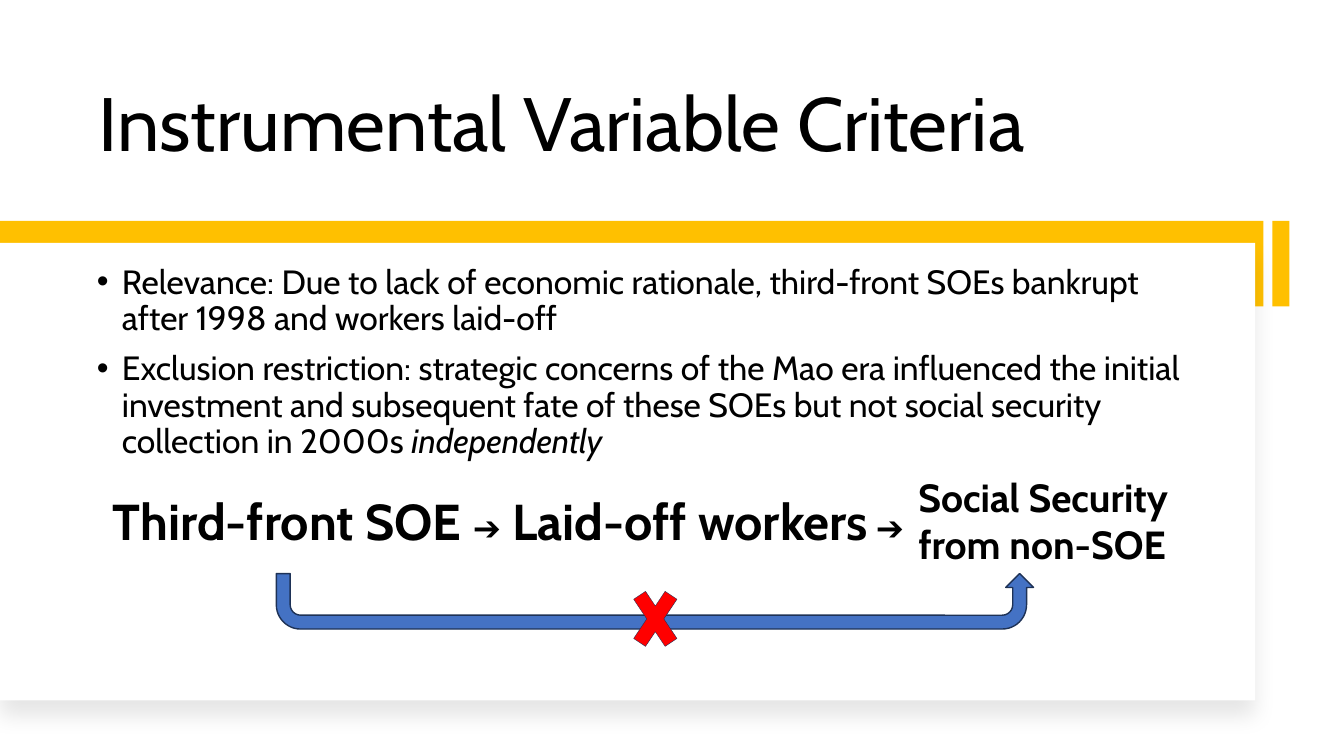
import pptx
import pptx.dml.color
import pptx.enum.shapes
import pptx.enum.text
import pptx.oxml
import pptx.oxml.ns
import pptx.util
import lxml.etree

Inches = pptx.util.Inches
Pt = pptx.util.Pt
SHAPES = pptx.enum.shapes.MSO_SHAPE
ANCHOR = pptx.enum.text.MSO_ANCHOR
AUTO_SIZE = pptx.enum.text.MSO_AUTO_SIZE
qn = pptx.oxml.ns.qn

FONT = "Cabin"
COLORS = {
    "text": "000000",
    "band": "FFC000",
    "card": "FFFFFF",
    "path": "4472C4",
    "outline": "1E3256",
    "cross": "FF0000",
}


def rgb(name):
    return pptx.dml.color.RGBColor.from_string(COLORS[name])


def place(item, box):
    item.left, item.top, item.width, item.height = map(Inches, box)


def add_figure(slide, kind, box, fill, line_width=0):
    figure = slide.shapes.add_shape(kind, *map(Inches, box))
    figure.shadow.inherit = False
    figure.fill.solid()
    figure.fill.fore_color.rgb = rgb(fill)
    if line_width:
        figure.line.color.rgb = rgb("outline")
        figure.line.width = Pt(line_width)
    else:
        figure.line.fill.background()
    return figure


def fill_paragraph(paragraph, pieces, bold=False):
    """Write (text, size, italic) pieces as runs of one paragraph."""
    for text, size, italic in pieces:
        run = paragraph.add_run()
        run.text = text
        run.font.name = FONT
        run.font.size = Pt(size)
        run.font.bold = bold
        run.font.italic = italic
        run.font.color.rgb = rgb("text")


def set_frame(frame, anchor):
    frame.word_wrap = True
    frame.auto_size = AUTO_SIZE.NONE
    frame.vertical_anchor = anchor


def add_title(slide, box):
    title = slide.shapes.title
    place(title, box)
    set_frame(title.text_frame, ANCHOR.BOTTOM)
    heading = title.text_frame.paragraphs[0]
    heading.alignment = pptx.enum.text.PP_ALIGN.LEFT
    heading.line_spacing = 0.9
    fill_paragraph(heading, [("Instrumental Variable Criteria", 54, False)])


def add_card(slide, box):
    """White card with a soft shadow, under a yellow band and tab."""
    left, top, width, height = box
    band_top, band_height = top - 0.22, 0.85
    tab_width = 0.17
    tab_left = left + width + 0.17
    add_figure(slide, SHAPES.RECTANGLE,
               (tab_left, band_top, tab_width, band_height), "band")
    add_figure(slide, SHAPES.RECTANGLE,
               (left, band_top, width + 0.08, band_height), "band")
    card = add_figure(slide, SHAPES.RECTANGLE, box, "card")

    effects = card._element.spPr.find(qn("a:effectLst"))
    shadow = lxml.etree.SubElement(
        effects, qn("a:outerShdw"), blurRad=str(Pt(15)), dist=str(Pt(11)),
        dir="5400000", algn="t", rotWithShape="0")
    shade = lxml.etree.SubElement(shadow, qn("a:srgbClr"), val="000000")
    lxml.etree.SubElement(shade, qn("a:alpha"), val="10000")


def add_criteria(slide, box):
    criteria = [
        [("Relevance: Due to lack of economic rationale, third-front SOEs "
          "bankrupt after 1998 and workers laid-off", 24, False)],
        [("Exclusion restriction: strategic concerns of the Mao era influenced "
          "the initial investment and subsequent fate of these SOEs but not "
          "social security collection in 2000s ", 24, False),
         ("independently", 24, True)],
    ]
    body = slide.placeholders[1]
    place(body, box)
    slide.shapes._spTree.append(body._element)  # bring in front of the card
    frame = body.text_frame
    set_frame(frame, ANCHOR.MIDDLE)
    for index, pieces in enumerate(criteria):
        criterion = frame.paragraphs[0] if index == 0 else frame.add_paragraph()
        properties = criterion._p.get_or_add_pPr()
        properties.set("marL", str(Inches(0.25)))
        properties.set("indent", str(Inches(-0.25)))
        lxml.etree.SubElement(properties, qn("a:buFont"), typeface="Arial")
        lxml.etree.SubElement(properties, qn("a:buChar"), char="•")
        criterion.line_spacing = 0.9
        criterion.space_before = Pt(10 if index else 0)
        fill_paragraph(criterion, pieces)


def add_chain_text(slide, box, pieces):
    label = slide.shapes.add_textbox(*map(Inches, box))
    set_frame(label.text_frame, ANCHOR.TOP)
    fill_paragraph(label.text_frame.paragraphs[0], pieces, bold=True)


def add_causal_chain(slide, box):
    """Cause to effect in words, with the excluded direct path below."""
    left, top, width, height = box
    add_chain_text(slide, (left, top + 0.16, 9.44, 0.71), [
        ("Third-front SOE ", 36, False), ("➔", 24, False),
        (" Laid-off workers", 36, False), (" ➔", 24, False)])
    add_chain_text(slide, (left + width - 2.75, top, 2.75, 1.04),
                   [("Social Security from non-SOE", 28, False)])

    # Direct path, crossed out
    path_top = top + 1.04
    direct_path = add_figure(slide, SHAPES.U_TURN_ARROW,
                             (left + 1.72, path_top, 7.51, 0.55), "path", 1)
    for index, value in enumerate((0.25, 0.25, 0.25, 0.438, 1)):
        direct_path.adjustments[index] = value
    direct_path.rotation = 180
    direct_path._element.spPr.find(qn("a:xfrm")).set("flipH", "1")
    add_figure(slide, SHAPES.MATH_MULTIPLY,
               (left + 5.18, path_top, 0.6, height - 1.04), "cross", 0.25)


def main():
    deck = pptx.Presentation()
    deck.slide_width, deck.slide_height = Inches(13.33), Inches(7.5)
    slide = deck.slides.add_slide(deck.slide_layouts[1])
    add_title(slide, (0.88, 0.42, 10.1, 1.3))
    add_card(slide, (0, 2.41, 12.45, 4.54))
    add_criteria(slide, (0.86, 1.72, 11.09, 3.76))
    add_causal_chain(slide, (1.02, 4.65, 10.74, 1.94))
    deck.save("out.pptx")


if __name__ == "__main__":
    main()
